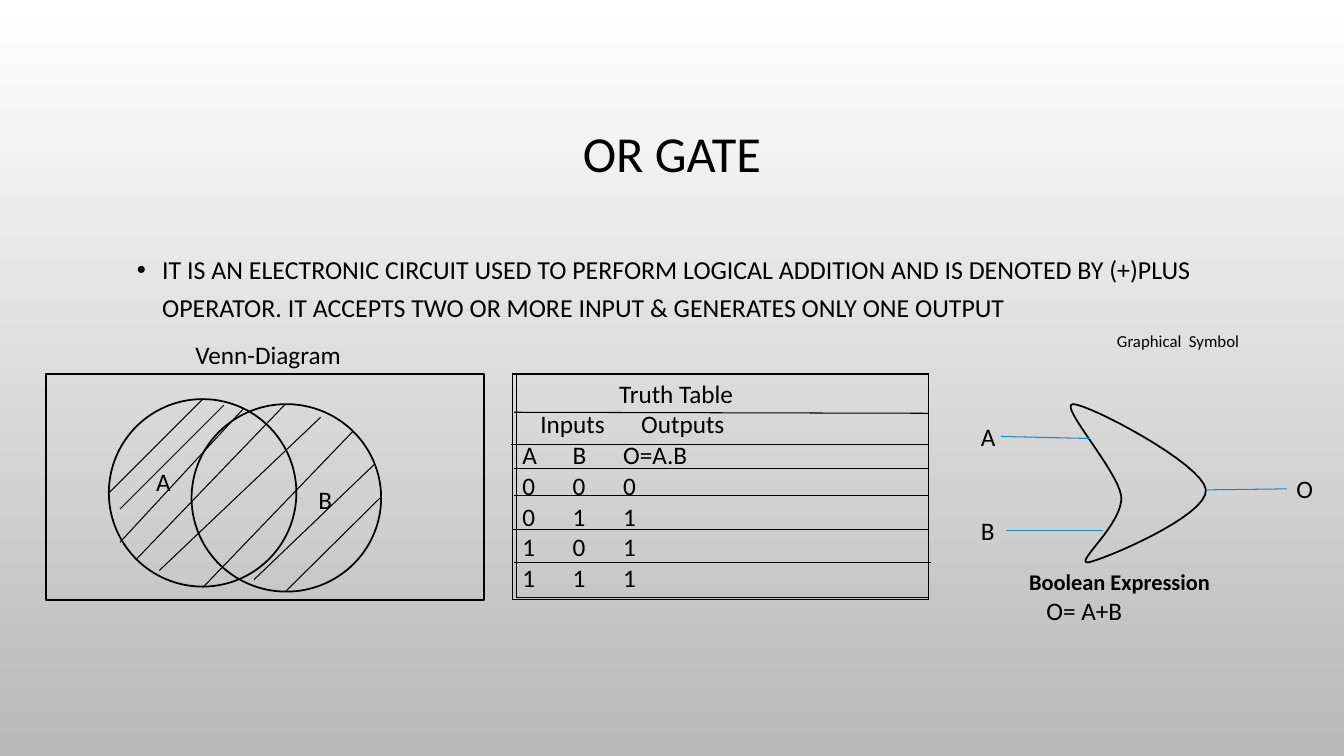
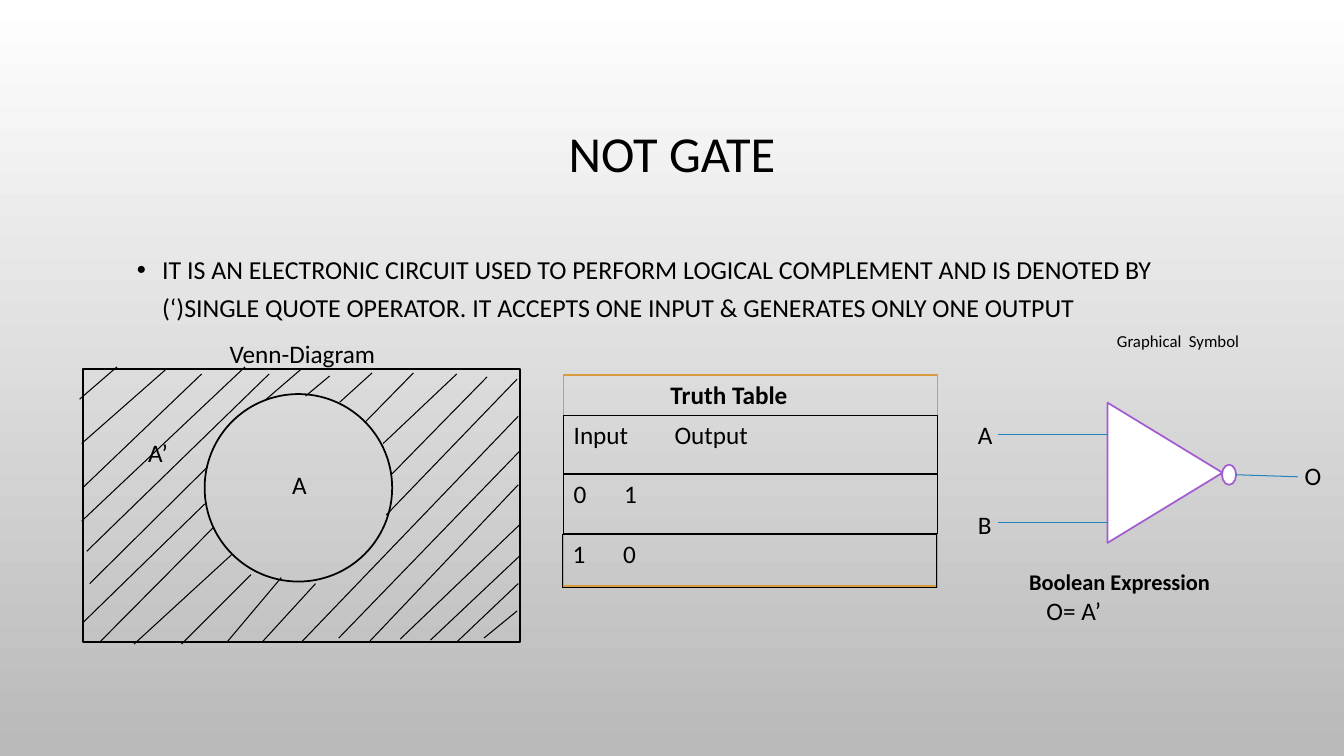
from pptx import Presentation
from pptx.dml.color import RGBColor
from pptx.enum.shapes import MSO_CONNECTOR as CONN, MSO_SHAPE as SHAPE
from pptx.enum.text import MSO_ANCHOR as ANCHOR, PP_ALIGN as ALIGN
from pptx.oxml.ns import qn
from pptx.util import Pt
from lxml.etree import SubElement

SCALE = 9144
COLORS = {
    "ink": "000000",
    "wire": "2683BF",
    "gate": "A35DD1",
    "paper": "FFFFFF",
    "shade": "B9B9B9",
    "amber": "D99C3F",
}
HEADING = ("Truth Table", 96, ())


def px(n):
    return int(round(n * SCALE))


def rgb(name):
    return RGBColor.from_string(COLORS[name])


def put(obj, **values):
    for key, value in values.items():
        setattr(obj, key, value)


def bezier(a, b, c, d, steps=16):
    for i in range(1, steps + 1):
        t = i / steps
        u = 1 - t
        weights = (u ** 3, 3 * u * u * t, 3 * u * t * t, t ** 3)
        yield tuple(sum(w * pt[k] for w, pt in zip(weights, (a, b, c, d)))
                    for k in (0, 1))


class Deck:
    font = "Calibri"
    size = 18
    line_width = 0.75
    outline_width = 1.25

    def __init__(self):
        self.prs = Presentation()
        put(self.prs, slide_width=px(1333), slide_height=px(750))
        fill = self.prs.slide_master.background.fill
        fill.gradient()
        fill.gradient_angle = 270
        for stop, name, pos in zip(fill.gradient_stops, ("paper", "shade"), (0, 1)):
            stop.color.rgb = rgb(name)
            stop.position = pos

    def slide(self, title, body):
        self.s = self.prs.slides.add_slide(self.prs.slide_layouts[6])
        tf = self.text(100, 67, 1133, 175, title, size=36)
        tf.vertical_anchor = ANCHOR.MIDDLE
        put(tf.paragraphs[0], alignment=ALIGN.CENTER, line_spacing=0.9)
        p = self.text(126, 241, 1069, 91, body, size=18.5).paragraphs[0]
        put(p, line_spacing=1.2, space_before=Pt(10))
        pPr = self.indent(p, 25, -25)
        SubElement(pPr, qn("a:buFont"), typeface="Arial")
        SubElement(pPr, qn("a:buChar"), char="•")

    def indent(self, p, left, first=0):
        pPr = p._p.get_or_add_pPr()
        pPr.set("marL", str(px(left)))
        pPr.set("indent", str(px(first)))
        return pPr

    def run(self, p, text, size=None, bold=False):
        r = p.add_run()
        r.text = text
        put(r.font, name=self.font, size=Pt(size or self.size), bold=bold)
        r.font.color.rgb = rgb("ink")

    def text(self, x, y, w, h, text, **style):
        tf = self.s.shapes.add_textbox(px(x), px(y), px(w), px(h)).text_frame
        tf.word_wrap = True
        self.run(tf.paragraphs[0], text, **style)
        return tf

    def labels(self, *items):
        for x, y, text in items:
            self.text(x, y, 45, 40, text)

    def style(self, sp, line, fill=None):
        sp.shadow.inherit = False
        if fill:
            sp.fill.solid()
            sp.fill.fore_color.rgb = rgb(fill)
        else:
            sp.fill.background()
        sp.line.color.rgb = rgb(line)
        sp.line.width = Pt(self.outline_width)

    def shape(self, kind, x, y, w, h, line="ink", fill=None, rotation=0):
        sp = self.s.shapes.add_shape(kind, px(x), px(y), px(w), px(h))
        sp.rotation = rotation
        self.style(sp, line, fill)

    def curve(self, start, *segments):
        points, last = [], start
        for b, c, d in segments:
            points += bezier(last, b, c, d)
            last = d
        fb = self.s.shapes.build_freeform(px(start[0]), px(start[1]))
        fb.add_line_segments([(px(x), px(y)) for x, y in points], close=True)
        self.style(fb.convert_to_shape(), "ink")

    def lines(self, color, *ends):
        for x1, y1, x2, y2 in ends:
            cx = self.s.shapes.add_connector(
                CONN.STRAIGHT, px(x1), px(y1), px(x2), px(y2))
            cx.line.color.rgb = rgb(color)
            cx.line.width = Pt(self.line_width)
            SubElement(cx._element.spPr, qn("a:effectLst"))

    def border(self, cell, color, bottom):
        tcPr = cell._tc.get_or_add_tcPr()
        for side in "LRTB":
            width = Pt(bottom if side == "B" else 1)
            ln = SubElement(tcPr, qn("a:ln" + side), w=str(width))
            solid = SubElement(ln, qn("a:solidFill"))
            SubElement(solid, qn("a:srgbClr"), val=COLORS[color])

    def table(self, x, y, w, h, rows=(), color="ink", bottom=1, bold=False):
        tbl = self.s.shapes.add_table(1, 1, px(x), px(y), px(w), px(h)).table
        put(tbl, first_row=False, horz_banding=False)
        cell = tbl.cell(0, 0)
        self.border(cell, color, bottom)
        cell.fill.background()
        tf = cell.text_frame
        for i, (text, left, stops) in enumerate(rows):
            p = tf.add_paragraph() if i else tf.paragraphs[0]
            pPr = self.indent(p, left)
            if stops:
                tabs = SubElement(pPr, qn("a:tabLst"))
                for stop in stops:
                    SubElement(tabs, qn("a:tab"), pos=str(px(stop)), algn="l")
            self.run(p, text, bold=bold)

    def captions(self, venn_x, venn_y, expression):
        self.text(venn_x, venn_y, 180, 40, "Venn-Diagram")
        self.text(1098, 323, 200, 30, "Graphical  Symbol", size=12)
        tf = self.text(1011, 559, 274, 67, "Boolean Expression", size=16, bold=True)
        p = tf.add_paragraph()
        self.indent(p, 17)
        self.run(p, expression)


def or_gate(deck):
    deck.slide("OR GATE", "IT IS AN ELECTRONIC CIRCUIT USED TO PERFORM LOGICAL ADDITION "
               "AND IS DENOTED BY (+)PLUS OPERATOR. IT ACCEPTS TWO OR MORE INPUT & "
               "GENERATES ONLY ONE OUTPUT")
    deck.captions(184, 332, "O= A+B")
    deck.shape(SHAPE.OVAL, 108, 396, 186, 186)
    deck.shape(SHAPE.OVAL, 190, 401, 188, 186)
    deck.shape(SHAPE.RECTANGLE, 46, 371, 434, 224)
    deck.lines("ink", (318, 414, 158, 566), (350, 428, 201, 583),
               (283, 401, 135, 555), (283, 587, 377, 494), (241, 406, 119, 538),
               (201, 396, 108, 489), (371, 461, 252, 575), (222, 402, 119, 505))
    values = [(f"{a}\t{b}\t{a | b}", 0, (81, 246)) for a in (0, 1) for b in (0, 1)]
    deck.table(508, 371, 413, 224, [
        HEADING,
        ("Inputs\tOutputs", 18, (228,)),
        ("A\tB\tO=A.B", 0, (82, 225)),
    ] + values)
    deck.lines("ink", (510, 371, 918, 371), (510, 409, 921, 410),
               (507, 441, 921, 441), (510, 465, 921, 465), (510, 492, 921, 492),
               (508, 525, 921, 525), (510, 558, 923, 558))
    deck.curve((1064, 401),
               ((1078, 400), (1193, 460), (1196, 486)),
               ((1198, 512), (1093, 556), (1079, 558)),
               ((1065, 559), (1115, 519), (1112, 492)),
               ((1108, 466), (1050, 402), (1064, 401)))
    deck.lines("wire", (993, 433, 1081, 435), (998, 526, 1094, 526),
               (1196, 486, 1276, 485))
    deck.table(512, 371, 409, 222)
    deck.labels((145, 458, "A"), (306, 476, "B"),
                (963, 413, "A"), (963, 506, "B"), (1276, 465, "O"))


def not_gate(deck):
    deck.slide("NOT GATE", "IT IS AN ELECTRONIC CIRCUIT USED TO PERFORM LOGICAL COMPLEMENT "
               "AND IS DENOTED BY (‘)SINGLE QUOTE OPERATOR. IT ACCEPTS ONE INPUT & "
               "GENERATES ONLY ONE OUTPUT")
    deck.captions(218, 331, "O= A’")
    deck.shape(SHAPE.OVAL, 203, 391, 186, 186)
    deck.shape(SHAPE.RECTANGLE, 82, 366, 434, 271)
    deck.lines("ink", (116, 364, 79, 396), (164, 367, 81, 440), (200, 371, 83, 483),
               (243, 364, 81, 517), (267, 371, 86, 547), (299, 366, 263, 397),
               (327, 373, 303, 393), (369, 370, 337, 399), (410, 370, 362, 419),
               (453, 371, 380, 440), (483, 374, 389, 470), (513, 376, 383, 511),
               (206, 463, 89, 579), (203, 500, 83, 617), (212, 523, 99, 637),
               (230, 550, 133, 639), (249, 570, 180, 639), (279, 573, 226, 636),
               (313, 579, 260, 637), (514, 413, 299, 637), (516, 447, 336, 633),
               (514, 481, 366, 637), (516, 520, 397, 634), (516, 551, 427, 635),
               (514, 579, 453, 637), (513, 606, 480, 633))
    deck.table(559, 372, 371, 210, [HEADING], color="amber", bottom=2, bold=True)
    for x, y, h, text, stop in ((559, 412, 58, "Input\tOutput", 245),
                                (559, 471, 58, "0\t1", 267),
                                (558, 530, 53, "1\t0", 267)):
        deck.table(x, y, 371, h, [(text, 0, (stop,))])
    gate = {"line": "gate", "fill": "paper"}
    deck.shape(SHAPE.ISOSCELES_TRIANGLE, 1086, 412, 139, 114, rotation=90, **gate)
    deck.shape(SHAPE.OVAL, 1212, 461, 14, 20, **gate)
    deck.lines("wire", (990, 431, 1099, 431), (990, 518, 1099, 518),
               (1226, 471, 1287, 473))
    deck.labels((280, 461, "A"), (137, 429, "A’"),
                (960, 411, "A"), (960, 500, "B"), (1284, 452, "O"))


def main():
    deck = Deck()
    or_gate(deck)
    not_gate(deck)
    deck.prs.save("out.pptx")


if __name__ == "__main__":
    main()
